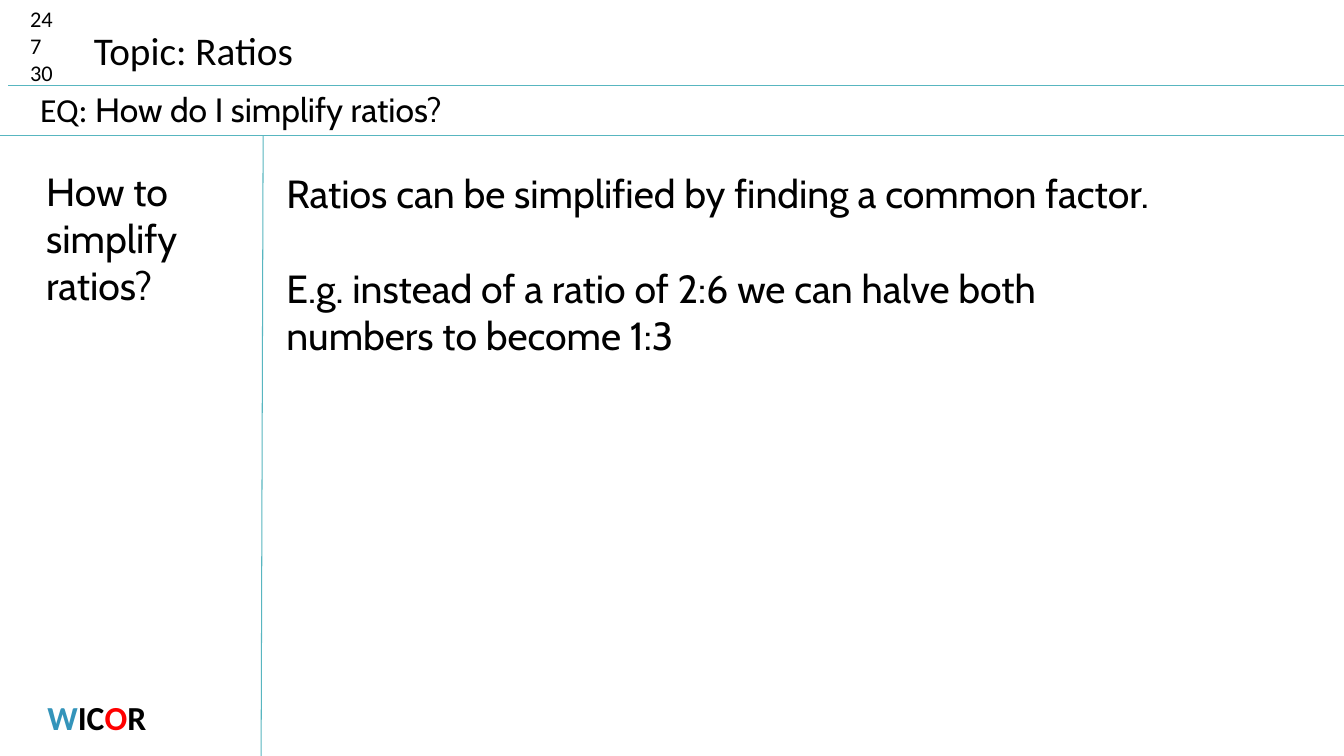
from dataclasses import dataclass
from typing import Optional

from lxml.etree import SubElement
from pptx import Presentation
from pptx.dml.color import RGBColor
from pptx.enum.shapes import MSO_CONNECTOR
from pptx.enum.text import MSO_ANCHOR, MSO_AUTO_SIZE, PP_ALIGN
from pptx.oxml.ns import qn
from pptx.util import Inches, Pt

COLOURS = {"text": "000000", "rule": "58B6C0", "blue": "3494BA", "red": "FF0000"}
PLAIN, NOTE = "Calibri", "Cabin"


@dataclass
class Span:
    text: str
    font: str = PLAIN
    colour: str = "text"


@dataclass
class Block:
    place: tuple[float, float, float, float]
    paragraphs: list[list[Span]]
    size: int
    bold: bool = False
    wrap: bool = True
    align: PP_ALIGN = PP_ALIGN.LEFT
    gap: float = 0
    placeholder: Optional[int] = None


@dataclass
class Rule:
    start: tuple[float, float]
    end: tuple[float, float]


RULES = [
    Rule((0.08, 0.85), (13.33, 0.85)),
    Rule((0, 1.34), (13.33, 1.34)),
    Rule((2.61, 1.34), (2.59, 7.5)),
]

BLOCKS = [
    # Date
    Block((0.2, 0, 0.63, 0.91), [[Span(part)] for part in ("24", "7", "30")], 16),
    # Topic and essential question
    Block((0.83, 0.21, 2.2, 0.57), [[Span("Topic: Ratios")]], 28, wrap=False, placeholder=0),
    Block((0.3, 0.83, 11.64, 0.5),
          [[Span("EQ: "), Span("How do I simplify ratios?", NOTE)]], 24),
    # Coloured acronym
    Block((-0.15, 6.86, 2.22, 0.5),
          [[Span("W", colour="blue"), Span("IC"), Span("O", colour="red"), Span("R")]],
          24, bold=True, align=PP_ALIGN.CENTER),
    # Question column and notes
    Block((0.36, 1.61, 2.24, 1.85), [[Span("How to simplify ratios?", NOTE)]], 28),
    Block((2.74, 1.63, 9.13, 1.99),
          [[Span("Ratios can be simplified by finding a common factor.", NOTE)],
           [Span("E.g. instead of a ratio of 2:6 we can halve both numbers to become 1:3", NOTE)]],
          28, gap=34, placeholder=1),
]


def colour_of(name: str) -> RGBColor:
    return RGBColor.from_string(COLOURS[name])


def add_span(para, text: str, *, font: str, size: int, colour: str, bold: bool) -> None:
    span = para.add_run()
    span.text = text
    span.font.name = font
    span.font.size = Pt(size)
    span.font.bold = bold
    span.font.color.rgb = colour_of(colour)


def draw_rule(page, rule: Rule) -> None:
    points = [Inches(value) for value in (*rule.start, *rule.end)]
    line = page.shapes.add_connector(MSO_CONNECTOR.STRAIGHT, *points)
    line.line.color.rgb = colour_of("rule")
    line.line.width = Pt(0.75)
    SubElement(line._element.spPr, qn("a:effectLst"))


def draw_block(page, block: Block) -> None:
    place = [Inches(value) for value in block.place]
    if block.placeholder is None:
        box = page.shapes.add_textbox(*place)
    else:
        box = page.placeholders[block.placeholder]
        box.left, box.top, box.width, box.height = place
    frame = box.text_frame
    frame.word_wrap = block.wrap
    frame.auto_size = MSO_AUTO_SIZE.SHAPE_TO_FIT_TEXT
    frame.vertical_anchor = MSO_ANCHOR.TOP
    for index, spans in enumerate(block.paragraphs):
        para = frame.add_paragraph() if index else frame.paragraphs[0]
        para.alignment = block.align
        para.space_before = Pt(block.gap if index else 0)
        # The body placeholder carries bullets and a hanging indent
        properties = para._p.get_or_add_pPr()
        properties.set("marL", "0")
        properties.set("indent", "0")
        SubElement(properties, qn("a:buNone"))
        for span in spans:
            add_span(para, span.text, font=span.font, size=block.size,
                     colour=span.colour, bold=block.bold)


def main() -> None:
    deck = Presentation()
    deck.slide_width, deck.slide_height = Inches(13.33), Inches(7.5)
    page = deck.slides.add_slide(deck.slide_layouts[1])
    for rule in RULES:
        draw_rule(page, rule)
    for block in BLOCKS:
        draw_block(page, block)
    deck.save("out.pptx")


if __name__ == "__main__":
    main()
